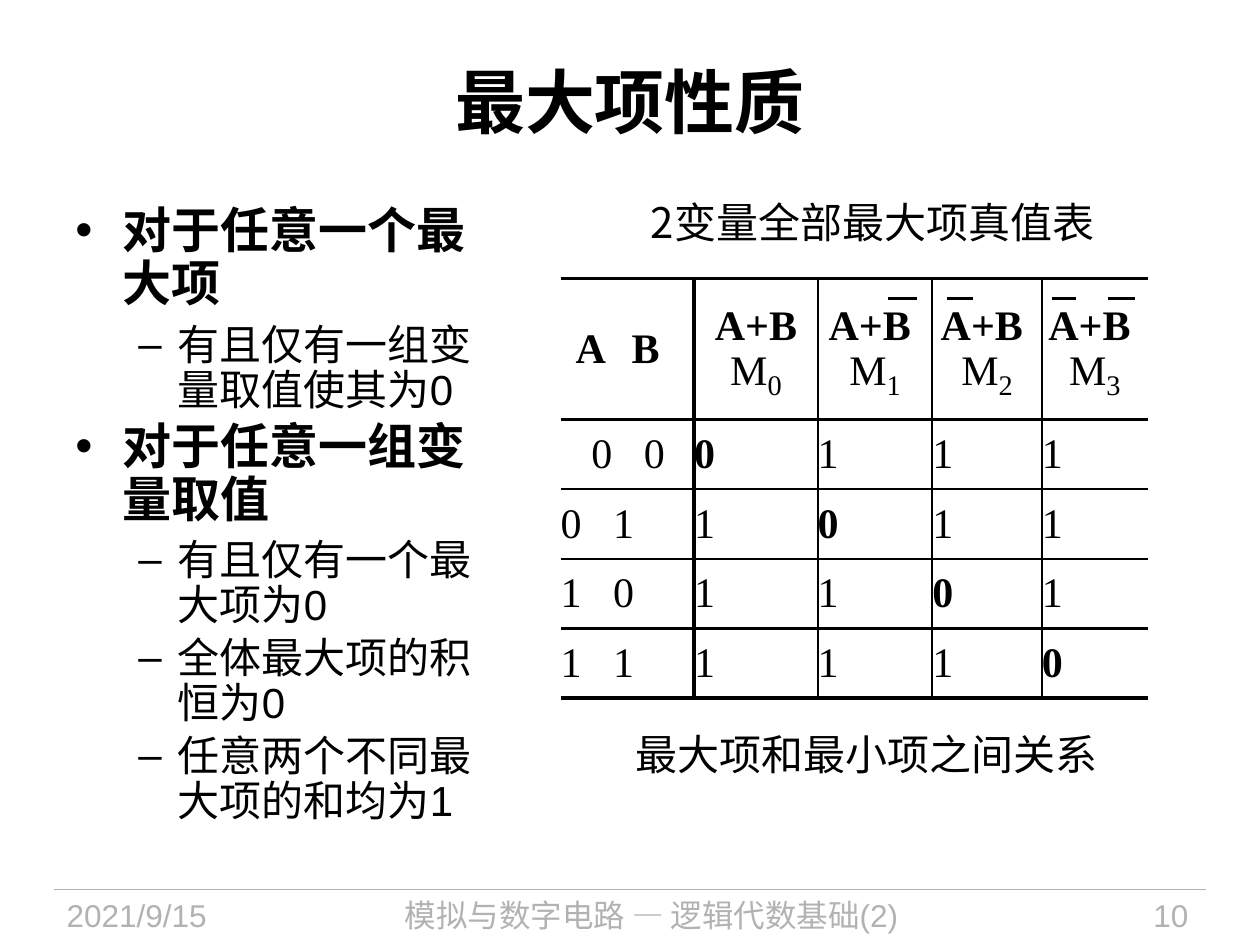
from lxml.etree import SubElement
from pptx import Presentation
from pptx.dml.color import RGBColor
from pptx.enum.shapes import MSO_CONNECTOR as CONN
from pptx.enum.text import MSO_ANCHOR as ANCHOR, PP_ALIGN as AL
from pptx.oxml.ns import qn
from pptx.util import Pt

COLORS = {"ink": "000000", "muted": "B2B2B2"}
SANS, CJK, SERIF = "Arial", "Noto Sans CJK SC", "Times New Roman"

TITLE = "最大项性质"
BODY = [
    (0, "对于任意一个最大项"),
    (1, "有且仅有一组变量取值使其为0"),
    (0, "对于任意一组变量取值"),
    (1, "有且仅有一个最大项为0"),
    (1, "全体最大项的积恒为0"),
    (1, "任意两个不同最大项的和均为1"),
]
LEVELS = [
    dict(size=28, bold=True, char="•", left=27, hang=27, after=6.5),
    dict(size=24, bold=False, char="–", left=58.5, hang=22.5, after=4.2),
]
CAPTIONS = [
    ("2变量全部最大项真值表", 359.3, 108.7, 278.6),
    ("最大项和最小项之间关系", 349.9, 412.6, 290.2),
]
FOOTERS = [
    ("2021/9/15", 31, 135.4, AL.LEFT),
    ("模拟与数字电路 — 逻辑代数基础(2)", 179.3, 385.9, AL.CENTER),
    ("10", 590.4, 95.8, AL.RIGHT),
]
FOOTER_TOP = 508.3
MAXTERMS = ["A+B", "A+B ", "A+B ", "A+B "]
INPUTS = [("A", "B", 8.5, 32), ("0", "0", 17.5, 30), ("0", "1", 0, 30),
          ("1", "0", 0, 30), ("1", "1", 0, 30)]
COLS = [76.3, 70.6, 65.5, 62.6, 60.5]
ROWS = [80.6, 39.8, 39.8, 39.8, 39.8]
TABLE_LEFT, TABLE_TOP = 320.4, 159.1
THICK, THIN = 2.25, 1.5
OVERBARS = [(507.6, 524.2), (541.4, 555.8), (601.2, 614.9), (632.9, 648.7)]
OVERBAR_Y = 170.6


def rgb(name):
    return RGBColor.from_string(COLORS[name])


def style(r, size, font=SANS, bold=False, color="ink"):
    r.font.size, r.font.name, r.font.bold = Pt(size), font, bold
    r.font.color.rgb = rgb(color)
    SubElement(r._r.get_or_add_rPr(), qn("a:ea"), typeface=CJK)


def add_run(p, text, size, **kw):
    r = p.add_run()
    r.text = text
    style(r, size, **kw)
    return r


def add_box(left, top, width, height, wrap=True):
    sp = slide.shapes.add_textbox(Pt(left), Pt(top), Pt(width), Pt(height))
    sp.text_frame.word_wrap = wrap
    return sp.text_frame


def add_label(text, box, size, align=AL.CENTER, wrap=True, **kw):
    tf = add_box(*box, wrap=wrap)
    p = tf.paragraphs[0]
    p.alignment = align
    add_run(p, text, size, **kw)
    return tf


def add_line(x1, x2, y, width, color):
    c = slide.shapes.add_connector(CONN.STRAIGHT, Pt(x1), Pt(y), Pt(x2), Pt(y))
    c.line.width, c.line.color.rgb = Pt(width), rgb(color)
    SubElement(c._element.spPr, qn("a:effectLst"))


def add_bullet(p, level, text):
    lv = LEVELS[level]
    p.level = level
    p.line_spacing, p.space_after = 0.9, Pt(lv["after"])
    pPr = p._p.get_or_add_pPr()
    pPr.set("marL", str(Pt(lv["left"])))
    pPr.set("indent", str(-Pt(lv["hang"])))
    SubElement(pPr, qn("a:buFont"), typeface=SANS)
    SubElement(pPr, qn("a:buChar"), char=lv["char"])
    add_run(p, text, lv["size"], bold=lv["bold"])


def set_borders(cell, row, col):
    last = len(COLS) - 1
    sides = {
        "L": 0 if col == 0 else THICK if col == 1 else THIN,
        "R": 0 if col == last else THICK if col == 0 else THIN,
        "T": THICK if row in (0, 1) else THIN,
        "B": THICK if row in (0, len(ROWS) - 1) else THIN,
    }
    tcPr = cell._tc.get_or_add_tcPr()
    for side, width in sides.items():
        ln = SubElement(tcPr, qn("a:ln" + side), w=str(Pt(width)))
        if width:
            fill = SubElement(ln, qn("a:solidFill"))
            SubElement(fill, qn("a:srgbClr"), val=COLORS["ink"])
        else:
            SubElement(ln, qn("a:noFill"))


def fill_inputs(cell, row):
    a, b, inset, stop = INPUTS[row]
    cell.margin_left = Pt(inset)
    p = cell.text_frame.paragraphs[0]
    tabs = SubElement(p._p.get_or_add_pPr(), qn("a:tabLst"))
    SubElement(tabs, qn("a:tab"), pos=str(Pt(stop)), algn="l")
    add_run(p, f"{a}\t{b}", 24, font=SERIF, bold=row == 0)


def fill_maxterm(cell, index):
    cell.margin_top, cell.margin_bottom = Pt(11.5), Pt(7.2)
    tf = cell.text_frame
    top, bottom = tf.paragraphs[0], tf.add_paragraph()
    for p in (top, bottom):
        p.alignment, p.line_spacing = AL.CENTER, 0.8
    add_run(top, MAXTERMS[index], 24, font=SERIF, bold=True)
    add_run(bottom, "M", 24, font=SERIF)
    r = add_run(bottom, str(index), 28, font=SERIF)
    r._r.get_or_add_rPr().set("baseline", "-20000")


def add_truth_table():
    frame = slide.shapes.add_table(len(ROWS), len(COLS), Pt(TABLE_LEFT), Pt(TABLE_TOP),
                                   Pt(sum(COLS)), Pt(sum(ROWS)))
    table = frame.table
    table.first_row = table.horz_banding = False
    for col, width in zip(table.columns, COLS):
        col.width = Pt(width)
    for row, height in zip(table.rows, ROWS):
        row.height = Pt(height)
    for i in range(len(ROWS)):
        for j in range(len(COLS)):
            cell = table.cell(i, j)
            set_borders(cell, i, j)
            cell.fill.background()
            cell.vertical_anchor = ANCHOR.MIDDLE
            cell.margin_left = cell.margin_right = 0
            cell.margin_top = cell.margin_bottom = 0
            if j == 0:
                fill_inputs(cell, i)
            elif i == 0:
                fill_maxterm(cell, j - 1)
            else:
                add_run(cell.text_frame.paragraphs[0], "0" if i == j else "1", 24,
                        font=SERIF, bold=i == j)


prs = Presentation()
prs.slide_width, prs.slide_height = Pt(720), Pt(540)
slide = prs.slides.add_slide(prs.slide_layouts[6])

add_line(31, 689, FOOTER_TOP, 0.75, "muted")
for text, left, width, align in FOOTERS:
    add_label(text, (left, FOOTER_TOP, width, 31.7), 18, align, color="muted")

title = add_label(TITLE, (36, 12.2, 648, 90), 40, bold=True)
title.vertical_anchor = ANCHOR.MIDDLE

tf = add_box(36, 114.5, 255.6, 387.4)
for i, (level, text) in enumerate(BODY):
    add_bullet(tf.add_paragraph() if i else tf.paragraphs[0], level, text)

add_truth_table()
for x1, x2 in OVERBARS:
    add_line(x1, x2, OVERBAR_Y, THICK, "ink")
for text, left, top, width in CAPTIONS:
    add_label(text, (left, top, width, 36), 24, wrap=False, font=CJK)

prs.save("out.pptx")
